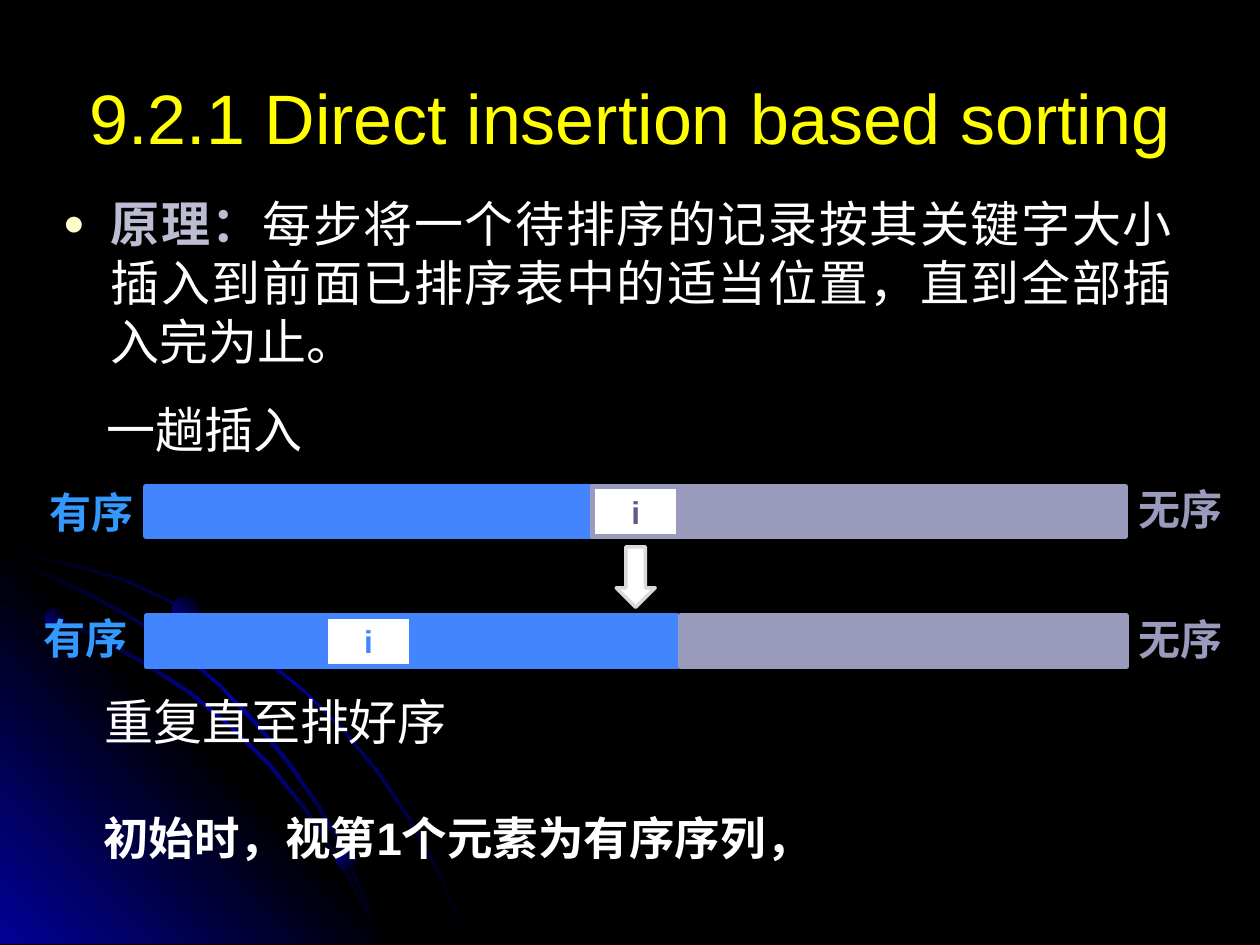
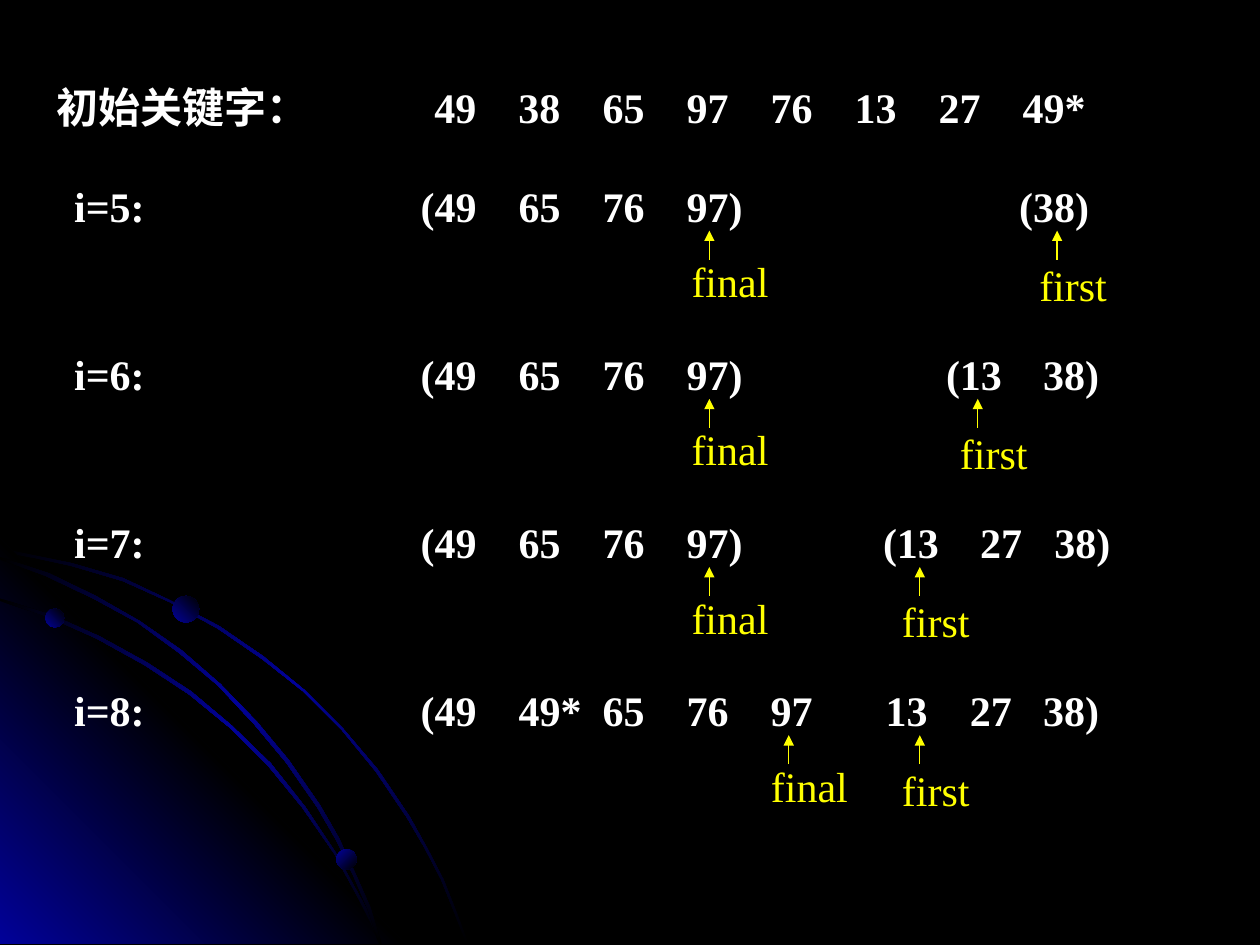
from dataclasses import dataclass

from lxml import etree
from pptx import Presentation
from pptx import util as u
from pptx.dml.color import RGBColor
from pptx.enum import shapes, text
from pptx.oxml import ns


@dataclass(frozen=True)
class Theme:
    night: str = "000000"
    glow: str = "010199"
    white: str = "FFFFFF"
    yellow: str = "FFFF00"
    bullet: str = "FFFFCC"
    term: str = "BCBCD2"
    sorted_bar: str = "4285FF"
    sorted_label: str = "3399FF"
    unsorted: str = "9A9ABC"
    unsorted_key: str = "5C5C8A"
    arrow_edge: str = "DADADA"
    sans: str = "Arial"
    serif: str = "Times New Roman"
    title_size: int = 40
    body_size: int = 28
    note_size: int = 26
    label_size: int = 24
    key_size: int = 18


THEME = Theme()
TITLE = dict(name=THEME.sans, size=u.Pt(THEME.title_size), bold=False)
BODY = dict(name=THEME.sans, size=u.Pt(THEME.body_size), bold=False)
TERM = dict(BODY, bold=True)
NOTE = dict(name=THEME.sans, size=u.Pt(THEME.note_size), bold=True)
LABEL = dict(name=THEME.sans, size=u.Pt(THEME.label_size), bold=True)
KEY = dict(name=THEME.sans, size=u.Pt(THEME.key_size), bold=True)
NUMBERS = dict(name=THEME.serif, size=u.Pt(THEME.label_size), bold=True)
POINTER = dict(NUMBERS, bold=False)

LEFT = text.PP_ALIGN.LEFT
CENTER = text.PP_ALIGN.CENTER
RIGHT = text.PP_ALIGN.RIGHT
JUSTIFY = text.PP_ALIGN.JUSTIFY

ARCS = [
    [(57, 447), (28, 441), (0, 435), (0, 438), (28, 443), (56, 449),
     (97, 461), (135, 478), (173, 499), (208, 523), (241, 549), (271, 579),
     (298, 612), (323, 649), (337, 673), (350, 698), (360, 723), (370, 749),
     (372, 749), (362, 723), (352, 698), (339, 673), (325, 648), (300, 611),
     (272, 578), (242, 548), (209, 521), (174, 497), (136, 477), (98, 459)],
    [(285, 714), (294, 732), (301, 749), (303, 749), (296, 730), (286, 712),
     (266, 676), (242, 640), (215, 606), (184, 576), (152, 549), (117, 526),
     (79, 505), (41, 488), (0, 475), (0, 477), (39, 490), (77, 507),
     (115, 528), (150, 551), (183, 578), (213, 608), (240, 641), (265, 677)],
    [(0, 442), (0, 444), (36, 457), (74, 475), (109, 494), (142, 518),
     (173, 544), (202, 575), (227, 605), (252, 641), (267, 667), (280, 694),
     (292, 722), (301, 749), (303, 749), (294, 720), (282, 693), (269, 665),
     (254, 639), (229, 603), (204, 573), (175, 543), (144, 516), (111, 493),
     (76, 473), (39, 455)],
]
CORNER = [(322, 749), (0, 749), (0, 427)]
PLANETS = [(0.36, 4.83, 0.15, 315), (2.67, 6.74, 0.16, 45), (1.37, 4.73, 0.21, 315)]

COLUMN_LEFT = 3.45
COLUMN_STEP = 0.667
PAREN = 0.11
COLUMNS = [COLUMN_LEFT + COLUMN_STEP * index for index in range(8)]
STEP_TOP = 1.38
STEP_PITCH = 1.335
INSET = 0.1


def rgb(code):
    return RGBColor.from_string(code)


def set_format(target, values):
    for name, value in values.items():
        setattr(target, name, value)


def inches(*lengths):
    return [u.Inches(length) for length in lengths]


def add_node(parent, tag, **attributes):
    node = etree.SubElement(parent, ns.qn(tag))
    for name, value in attributes.items():
        node.set(name, str(value))
    return node


def fill_gradient(shape, colors, angle):
    shape.shadow.inherit = False
    shape.line.fill.background()
    shape.fill.gradient()
    gradient = shape.fill._xPr.find(ns.qn("a:gradFill"))
    for child in list(gradient):
        gradient.remove(child)
    stops = add_node(gradient, "a:gsLst")
    for index, color in enumerate(colors):
        position = 100000 * index // (len(colors) - 1)
        add_node(add_node(stops, "a:gs", pos=position), "a:srgbClr", val=color)
    add_node(gradient, "a:lin", ang=angle * 60000, scaled=0)


def add_outline(page, points, colors, angle):
    builder = page.shapes.build_freeform(*points[0], scale=u.Inches(0.01))
    builder.add_line_segments(points[1:], close=True)
    fill_gradient(builder.convert_to_shape(), colors, angle)


def add_backdrop(page):
    night, glow = THEME.night, THEME.glow
    add_outline(page, ARCS[0], [night, glow, night], 45)
    add_outline(page, CORNER, [glow, night, glow], 315)
    for points in ARCS[1:]:
        add_outline(page, points, [night, glow, night], 45)
    for left, top, size, angle in PLANETS:
        planet = page.shapes.add_shape(
            shapes.MSO_SHAPE.OVAL, *inches(left, top, size, size))
        fill_gradient(planet, [glow, night], angle)


def add_page(deck):
    page = deck.slides.add_slide(deck.slide_layouts[6])
    add_backdrop(page)
    return page


def add_span(para, words, style, color):
    span = para.add_run()
    span.text = words
    set_format(span.font, style)
    span.font.color.rgb = rgb(color)


def add_text(page, place, words, style, color, align=LEFT, anchor=text.MSO_ANCHOR.TOP):
    box = page.shapes.add_textbox(*inches(*place))
    set_format(box.text_frame, dict(word_wrap=True, vertical_anchor=anchor))
    para = box.text_frame.paragraphs[0]
    para.alignment = align
    add_span(para, words, style, color)
    return para


def add_bullet(para, indent):
    properties = para._p.get_or_add_pPr()
    properties.set("marL", str(u.Inches(indent)))
    properties.set("indent", str(-u.Inches(indent)))
    add_node(add_node(properties, "a:buClr"), "a:srgbClr", val=THEME.bullet)
    add_node(properties, "a:buSzPct", val=75000)
    add_node(properties, "a:buFont", typeface=THEME.sans)
    add_node(properties, "a:buChar", char="●")


def add_block(page, place, fill, edge, kind=shapes.MSO_SHAPE.RECTANGLE, weight=3):
    block = page.shapes.add_shape(kind, *inches(*place))
    block.shadow.inherit = False
    block.fill.solid()
    block.fill.fore_color.rgb = rgb(fill)
    block.line.color.rgb = rgb(edge)
    block.line.width = u.Pt(weight)
    return block


def add_key(page, left, top, edge, color):
    block = add_block(page, (left, top, 0.69, 0.4), THEME.white, edge)
    block.text_frame.vertical_anchor = text.MSO_ANCHOR.MIDDLE
    para = block.text_frame.paragraphs[0]
    para.alignment = CENTER
    add_span(para, "i", KEY, color)


def add_bars(page, top, sorted_width, unsorted_left):
    for left, width, color in ((1.16, sorted_width, THEME.sorted_bar),
                               (unsorted_left, 3.54, THEME.unsorted)):
        add_block(page, (left, top, width, 0.4), color, color)


def add_number_row(page, left, top, label, entries):
    words = "\t".join([label] + [entry for _, entry in entries])
    para = add_text(page, (left, top, 9.06, 0.5), words, NUMBERS, THEME.white)
    stops = add_node(para._p.get_or_add_pPr(), "a:tabLst")
    for position, _ in entries:
        add_node(stops, "a:tab", pos=u.Inches(position - left - INSET), algn="l")


def add_pointer(page, x, row_top, label, label_drop):
    arrow = page.shapes.add_connector(
        shapes.MSO_CONNECTOR.STRAIGHT, *inches(x, row_top + 0.68, x, row_top + 0.45))
    arrow.line.color.rgb = rgb(THEME.yellow)
    arrow.line.width = u.Pt(0.75)
    add_node(arrow.line._get_or_add_ln(), "a:tailEnd", type="triangle")
    add_node(arrow._element.spPr, "a:effectLst")
    place = (x - 0.24, row_top + label_drop, 0.94, 0.5)
    add_text(page, place, label, POINTER, THEME.yellow)


def build_principle(deck):
    page = add_page(deck)
    principle = add_text(page, (0.4, 1.49, 9, 1.5), "原理：", TERM, THEME.term, JUSTIFY)
    add_span(principle, "每步将一个待排序的记录按其关键字大小插入到前面已排序表中的适当位置，直到全部插入完为止。",
             BODY, THEME.white)
    add_bullet(principle, 0.38)
    add_text(page, (0.5, 0.3, 9, 1.25), "9.2.1 Direct insertion based sorting",
             TITLE, THEME.yellow, CENTER, text.MSO_ANCHOR.MIDDLE)
    add_text(page, (0.73, 5.44, 5.45, 0.57), "重复直至排好序", BODY, THEME.white)
    add_text(page, (0.75, 3.12, 5.45, 0.57), "一趟插入", BODY, THEME.white)

    add_bars(page, 3.86, 3.54, 5.39)
    add_key(page, 4.7, 3.86, THEME.unsorted, THEME.unsorted_key)
    add_bars(page, 4.89, 4.22, 5.4)
    add_key(page, 2.58, 4.89, THEME.sorted_bar, THEME.sorted_bar)
    add_block(page, (4.89, 4.34, 0.31, 0.48), THEME.white, THEME.arrow_edge,
              shapes.MSO_SHAPE.DOWN_ARROW, 2)

    for left, top in ((-0.16, 3.81), (-0.21, 4.81)):
        add_text(page, (left, top, 1.32, 0.5), "有序", LABEL, THEME.sorted_label, RIGHT)
    for top in (3.79, 4.82):
        add_text(page, (8.94, top, 1.32, 0.5), "无序", LABEL, THEME.unsorted)
    add_text(page, (0.72, 6.38, 9.71, 0.54), "初始时，视第1个元素为有序序列，",
             NOTE, THEME.white)


def build_trace(deck):
    page = add_page(deck)
    keys = ["49", "38", "65", "97", "76", "13", "27", "49*"]
    add_number_row(page, 0.35, 0.6, "初始关键字：", list(zip(COLUMNS, keys)))

    opening = [COLUMNS[0] - PAREN] + COLUMNS[1:]
    large_keys = list(zip(opening, ["(49", "65", "76", "97)"]))
    all_keys = list(zip(opening, ["(49", "49*", "65", "76", "97"]))
    steps = [
        ("i=5:", large_keys + [(8.09, "(38)")], 5.63, 8.39),
        ("i=6:", large_keys + [(7.51, "(13"), (8.28, "38)")], 5.63, 7.76),
        ("i=7:", large_keys + [(7.01, "(13"), (7.78, "27"), (8.37, "38)")], 5.63, 7.3),
        ("i=8:", all_keys + [(7.03, "13"), (7.7, "27"), (8.28, "38)")], 6.26, 7.3),
    ]
    for index, (label, entries, final_x, first_x) in enumerate(steps):
        top = STEP_TOP + STEP_PITCH * index
        add_number_row(page, 0.49, top, label, entries)
        add_pointer(page, final_x, top, "final", 0.6)
        add_pointer(page, first_x, top, "first", 0.63)


def main():
    deck = Presentation()
    set_format(deck, dict(slide_width=u.Inches(10), slide_height=u.Inches(7.5)))
    backdrop = deck.slide_master.background.fill
    backdrop.solid()
    backdrop.fore_color.rgb = rgb(THEME.night)
    build_principle(deck)
    build_trace(deck)
    deck.save("out.pptx")


if __name__ == "__main__":
    main()
